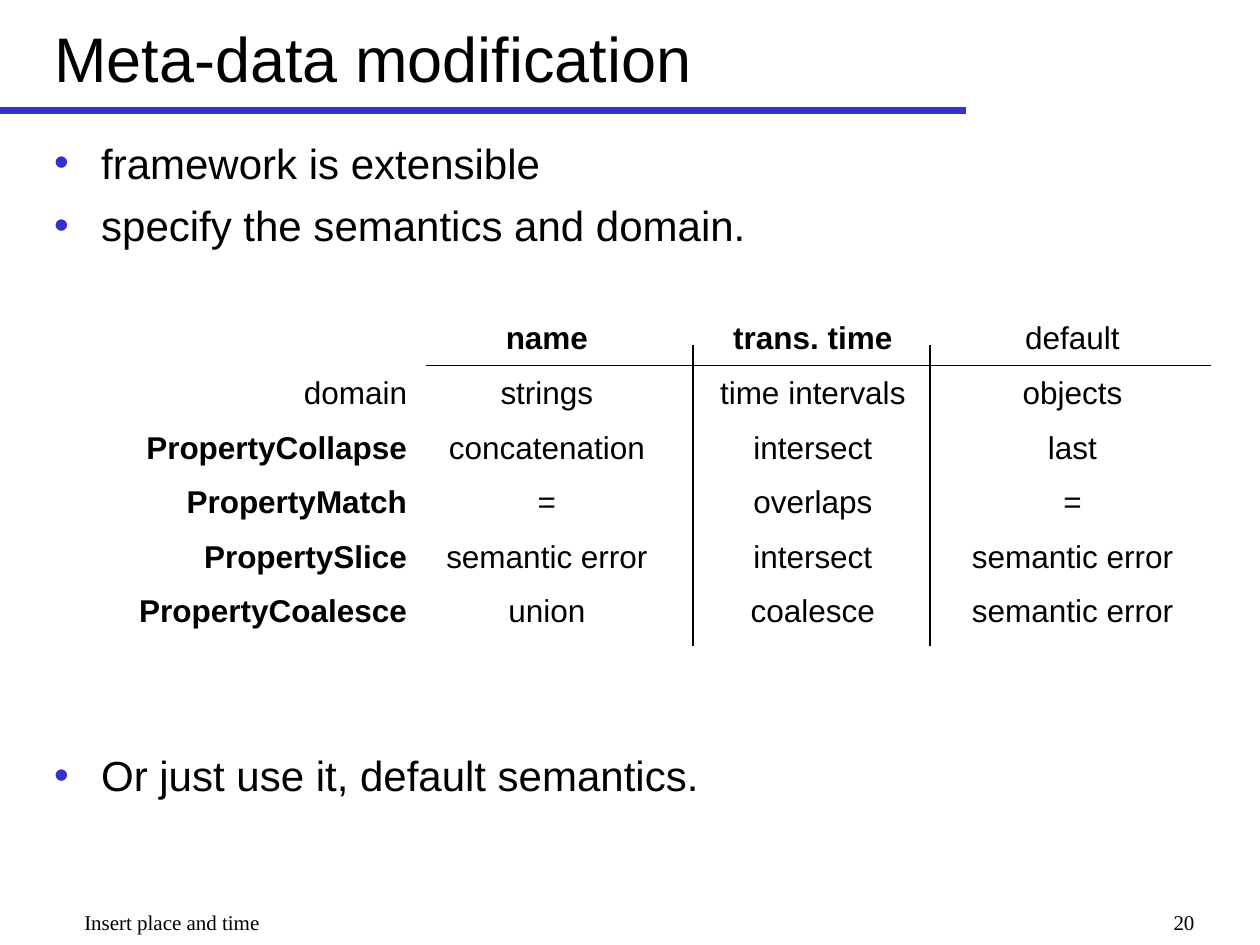
from dataclasses import dataclass

from lxml.etree import SubElement
from pptx import Presentation
from pptx.dml.color import RGBColor as Rgb
from pptx.enum.shapes import MSO_CONNECTOR as Link
from pptx.enum.text import MSO_ANCHOR as Anchor, PP_ALIGN as Align
from pptx.oxml.ns import qn
from pptx.util import Cm, Pt


@dataclass(frozen=True)
class Theme:
    ink: Rgb = Rgb(0x00, 0x00, 0x00)
    accent: Rgb = Rgb(0x33, 0x33, 0xCC)
    sans: str = "Arial"
    serif: str = "Times New Roman"
    title: int = 36
    body: int = 24
    cell: int = 18
    foot: int = 12


class Deck:
    def __init__(self, theme):
        self.theme = theme
        self.file = Presentation()
        self.file.slide_width, self.file.slide_height = Cm(25.4), Cm(19.05)
        self.slide = self.file.slides.add_slide(self.file.slide_layouts[5])

    def run(self, para, text, size, face=None, bold=False):
        run = para.add_run()
        run.text = text
        font = run.font
        font.name, font.size, font.bold = face or self.theme.sans, Pt(size), bold
        font.color.rgb = self.theme.ink

    def title(self, text, x, y, w, h):
        shape = self.slide.shapes.title
        shape.left, shape.top, shape.width, shape.height = map(Cm, (x, y, w, h))
        frame = shape.text_frame
        frame.word_wrap, frame.vertical_anchor = True, Anchor.MIDDLE
        para = frame.paragraphs[0]
        para.alignment = Align.LEFT
        self.run(para, text, self.theme.title)

    def box(self, x, y, w, h):
        frame = self.slide.shapes.add_textbox(*map(Cm, (x, y, w, h))).text_frame
        frame.word_wrap = True
        return frame

    def bullet(self, para):
        """Give the paragraph a hanging accent-coloured bullet."""
        props = para._p.get_or_add_pPr()
        indent = Cm(0.95)
        props.set("marL", str(indent))
        props.set("indent", str(-indent))
        tint = SubElement(props, qn("a:buClr"))
        SubElement(tint, qn("a:srgbClr"), val=str(self.theme.accent))
        SubElement(props, qn("a:buFont"), typeface=self.theme.sans)
        SubElement(props, qn("a:buChar"), char="•")

    def bullets(self, items, x, y, w, h):
        """Write (text, space before in points) pairs as one list."""
        frame = self.box(x, y, w, h)
        for i, (text, gap) in enumerate(items):
            para = frame.add_paragraph() if i else frame.paragraphs[0]
            self.bullet(para)
            para.space_before = Pt(gap)
            self.run(para, text, self.theme.body)

    def table(self, rows, bold, x, y, widths, pitch):
        """Draw a plain grid; bold holds the texts set in bold."""
        shape = self.slide.shapes.add_table(
            len(rows), len(widths), Cm(x), Cm(y),
            Cm(sum(widths)), Cm(pitch * len(rows)))
        grid = shape.table
        grid.first_row = grid.horz_banding = False
        for col, width in zip(grid.columns, widths):
            col.width = Cm(width)
        for r, row in enumerate(rows):
            grid.rows[r].height = Cm(pitch)
            for c, text in enumerate(row):
                cell = grid.cell(r, c)
                cell.fill.background()
                para = cell.text_frame.paragraphs[0]
                para.alignment = Align.CENTER if c else Align.RIGHT
                para.font.size = Pt(self.theme.cell)
                if text:
                    self.run(para, text, self.theme.cell, bold=text in bold)

    def line(self, x1, y1, x2, y2, color, width):
        link = self.slide.shapes.add_connector(
            Link.STRAIGHT, *map(Cm, (x1, y1, x2, y2)))
        link.line.color.rgb, link.line.width = color, Pt(width)
        SubElement(link._element.spPr, qn("a:effectLst"))

    def foot(self, text, x, w, align):
        para = self.box(x, 18.21, w, 0.64).paragraphs[0]
        para.alignment = align
        self.run(para, text, self.theme.foot, self.theme.serif)


ROWS = [
    ("", "name", "trans. time", "default"),
    ("domain", "strings", "time intervals", "objects"),
    ("PropertyCollapse", "concatenation", "intersect", "last"),
    ("PropertyMatch", "=", "overlaps", "="),
    ("PropertySlice", "semantic error", "intersect", "semantic error"),
    ("PropertyCoalesce", "union", "coalesce", "semantic error"),
]
BOLD = {"name", "trans. time"} | {row[0] for row in ROWS[2:]}
POINTS = [
    ("framework is extensible", 0),
    ("specify the semantics and domain.", 7),
    ("Or just use it, default semantics.", 285.5),
]


def main():
    theme = Theme()
    deck = Deck(theme)
    deck.line(0, 2.23, 19.48, 2.23, theme.accent, 4)
    deck.title("Meta-data modification", 0.84, 0.1, 18.92, 2.11)
    deck.bullets(POINTS, 0.84, 2.64, 23.5, 14.9)
    deck.table(ROWS, BOLD, 2.5, 6.35, (5.96, 5.13, 5.59, 4.88), 1.1)
    deck.line(8.59, 7.37, 24.41, 7.37, theme.ink, 1)
    for x in (13.97, 18.75):
        deck.line(x, 6.96, x, 13.03, theme.ink, 1)
    deck.foot("Insert place and time", 1.45, 16.2, Align.LEFT)
    deck.foot("20", 19.05, 5.28, Align.RIGHT)
    deck.file.save("out.pptx")


if __name__ == "__main__":
    main()
